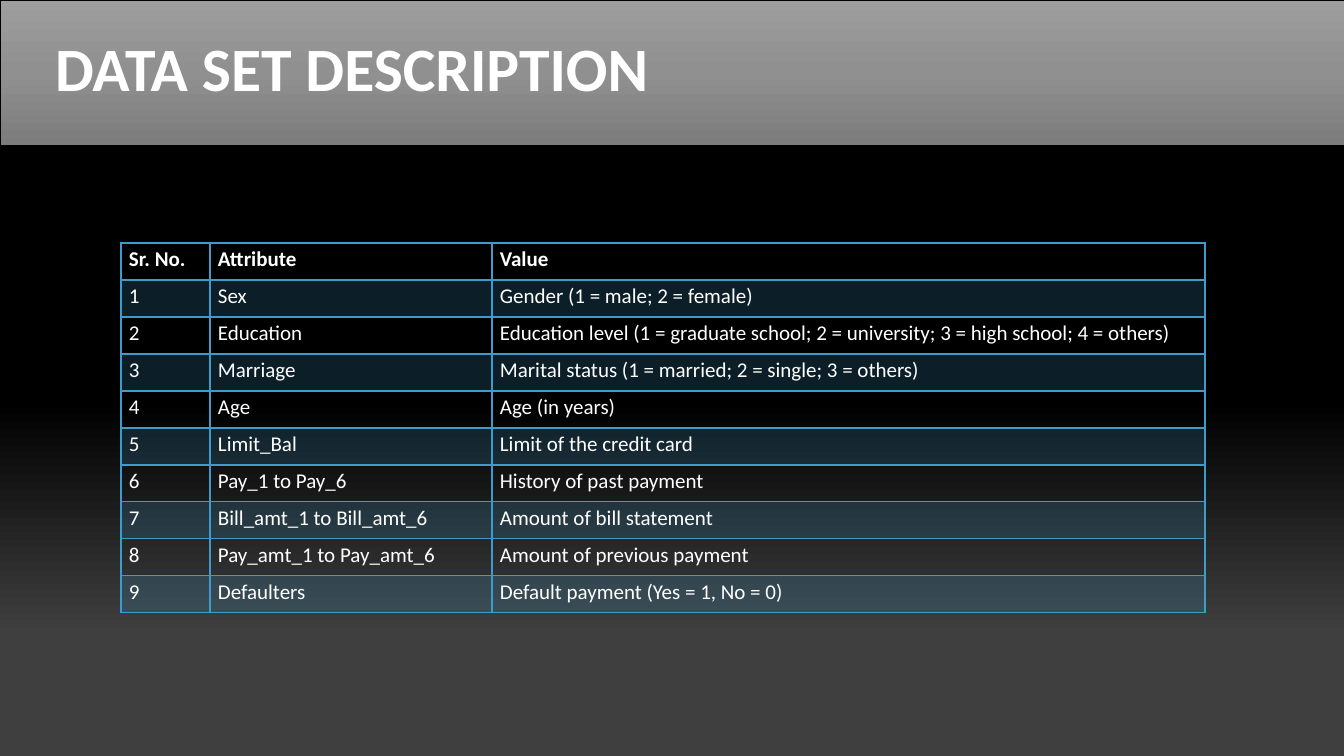
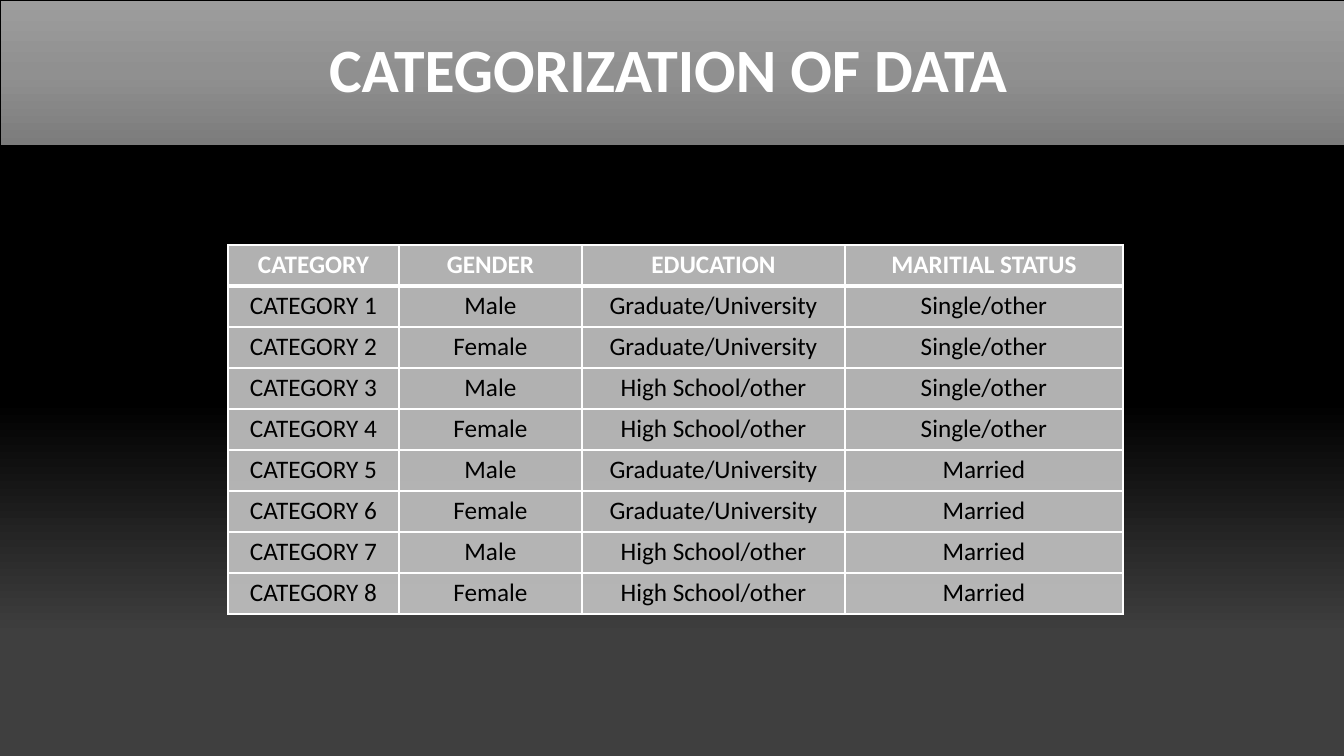
from lxml.etree import SubElement as Sub
from pptx import Presentation
from pptx.dml.color import RGBColor as RGB
from pptx.enum.shapes import MSO_SHAPE as Shape
from pptx.enum.text import MSO_ANCHOR as Anchor, MSO_AUTO_SIZE as Auto, PP_ALIGN as Align
from pptx.oxml.ns import qn
from pptx.util import Pt

WIDE, HIGH = 1344, 756
SCALE = 12192000 / WIDE
FONT = "Calibri"
WHITE, BLACK, BLUE, GREY = "FFFFFF", "000000", "3D9CCC", "BFBFBF"
BACK = [(16, "3F3F3F"), (47, BLACK), (100, BLACK)]
BAND = [(0, "9D9D9D"), (50, "909090"), (100, "7C7C7C")]
BAND_H = 145


def px(n):
    return round(n * SCALE)


def hue(code):
    return RGB.from_string(code)


def blend(fill, root, stops, angle):
    fill.gradient()
    fill.gradient_angle = angle
    box = root.find(".//" + qn("a:gsLst"))
    for old in list(box):
        box.remove(old)
    for pos, code in stops:
        stop = Sub(box, qn("a:gs"), pos=str(pos * 1000))
        Sub(stop, qn("a:srgbClr"), val=code)


def write(frame, text, size=18, color=WHITE, bold=False, align=Align.LEFT, lead=1.0):
    para = frame.paragraphs[0]
    para.alignment, para.line_spacing = align, lead
    run = para.add_run()
    run.text = text
    font = run.font
    font.name, font.size, font.bold = FONT, Pt(size), bold
    font.color.rgb = hue(color)


def edge(cell, side, color, width):
    line = Sub(cell._tc.get_or_add_tcPr(), qn("a:ln" + side), w=str(Pt(width)))
    Sub(Sub(line, qn("a:solidFill")), qn("a:srgbClr"), val=color)


def tint(cell, color, alpha):
    cell.fill.solid()
    cell.fill.fore_color.rgb = hue(color)
    tone = cell._tc.tcPr.find(qn("a:solidFill")).find(qn("a:srgbClr"))
    Sub(tone, qn("a:alpha"), val=str(alpha * 1000))


class Deck:
    """Holds the shared style and the current slide."""

    def __init__(self):
        self.prs = Presentation()
        self.prs.slide_width, self.prs.slide_height = px(WIDE), px(HIGH)
        master = self.prs.slide_master
        blend(master.background.fill, master.element, BACK, 90)

    def page(self, title, x, y, w):
        self.slide = self.prs.slides.add_slide(self.prs.slide_layouts[5])
        self.band()
        self.title(title, x, y, w)

    def band(self):
        shapes = self.slide.shapes
        band = shapes.add_shape(Shape.RECTANGLE, 0, 0, px(WIDE), px(BAND_H))
        band.shadow.inherit = False
        blend(band.fill, band._element, BAND, 270)
        band.line.color.rgb, band.line.width = hue(BLACK), Pt(0.5)
        shapes.title._element.addprevious(band._element)

    def title(self, text, x, y, w):
        head = self.slide.shapes.title
        head.left, head.top, head.width, head.height = map(px, (x, y, w, BAND_H + 1))
        frame = head.text_frame
        frame.word_wrap, frame.auto_size = True, Auto.NONE
        frame.vertical_anchor = Anchor.MIDDLE
        write(frame, text, size=44, bold=True, lead=0.9)

    def table(self, x, y, cols, row_h, rows, line, heavy, shade, pad, body=WHITE, **form):
        area = map(px, (x, y, sum(cols), row_h * len(rows)))
        table = self.slide.shapes.add_table(len(rows), len(cols), *area).table
        table.first_row = table.horz_banding = False
        for col, wide in zip(table.columns, cols):
            col.width = px(wide)
        for r, texts in enumerate(rows):
            table.rows[r].height = px(row_h)
            for c, text in enumerate(texts):
                cell = table.cell(r, c)
                cell.margin_left = cell.margin_right = px(2 * pad)
                cell.margin_top = cell.margin_bottom = px(pad)
                for side in "LRTB":
                    thick = (r, side) in ((0, "B"), (1, "T"))
                    edge(cell, side, line, heavy if thick else 1)
                if shade(r):
                    tint(cell, *shade(r))
                else:
                    cell.fill.background()
                write(cell.text_frame, text, bold=r == 0, color=body if r else WHITE, **form)


def main():
    deck = Deck()
    deck.page("DATA SET DESCRIPTION", 45, -1, 1159)
    fields = [
        ("Sex", "Gender (1 = male; 2 = female)"),
        ("Education", "Education level (1 = graduate school; 2 = university; 3 = high school; 4 = others)"),
        ("Marriage", "Marital status (1 = married; 2 = single; 3 = others)"),
        ("Age", "Age (in years)"),
        ("Limit_Bal", "Limit of the credit card"),
        ("Pay_1 to Pay_6", "History of past payment"),
        ("Bill_amt_1 to Bill_amt_6", "Amount of bill statement"),
        ("Pay_amt_1 to Pay_amt_6", "Amount of previous payment"),
        ("Defaulters", "Default payment (Yes = 1, No = 0)"),
    ]
    rows = [("Sr. No.", "Attribute", "Value")]
    rows += [(str(n), *field) for n, field in enumerate(fields, 1)]
    deck.table(121, 243, (89, 282, 713), 37, rows, line=BLUE, heavy=2,
               shade=lambda r: (BLUE, 20) if r % 2 else None, pad=4, size=15)

    deck.page("CATEGORIZATION OF DATA", 319, 0, 714)
    rows = [("CATEGORY", "GENDER", "EDUCATION", "MARITIAL STATUS")]
    groups = [(sex, school, status)
              for status in ("Single/other", "Married")
              for school in ("Graduate/University", "High School/other")
              for sex in ("Male", "Female")]
    rows += [(f"CATEGORY {n}", *group) for n, group in enumerate(groups, 1)]
    deck.table(228, 245, (171, 183, 263, 278), 41, rows, line=WHITE, heavy=3,
               shade=lambda r: (GREY, 93), pad=5, body=BLACK, align=Align.CENTER)
    deck.prs.save("out.pptx")


if __name__ == "__main__":
    main()
